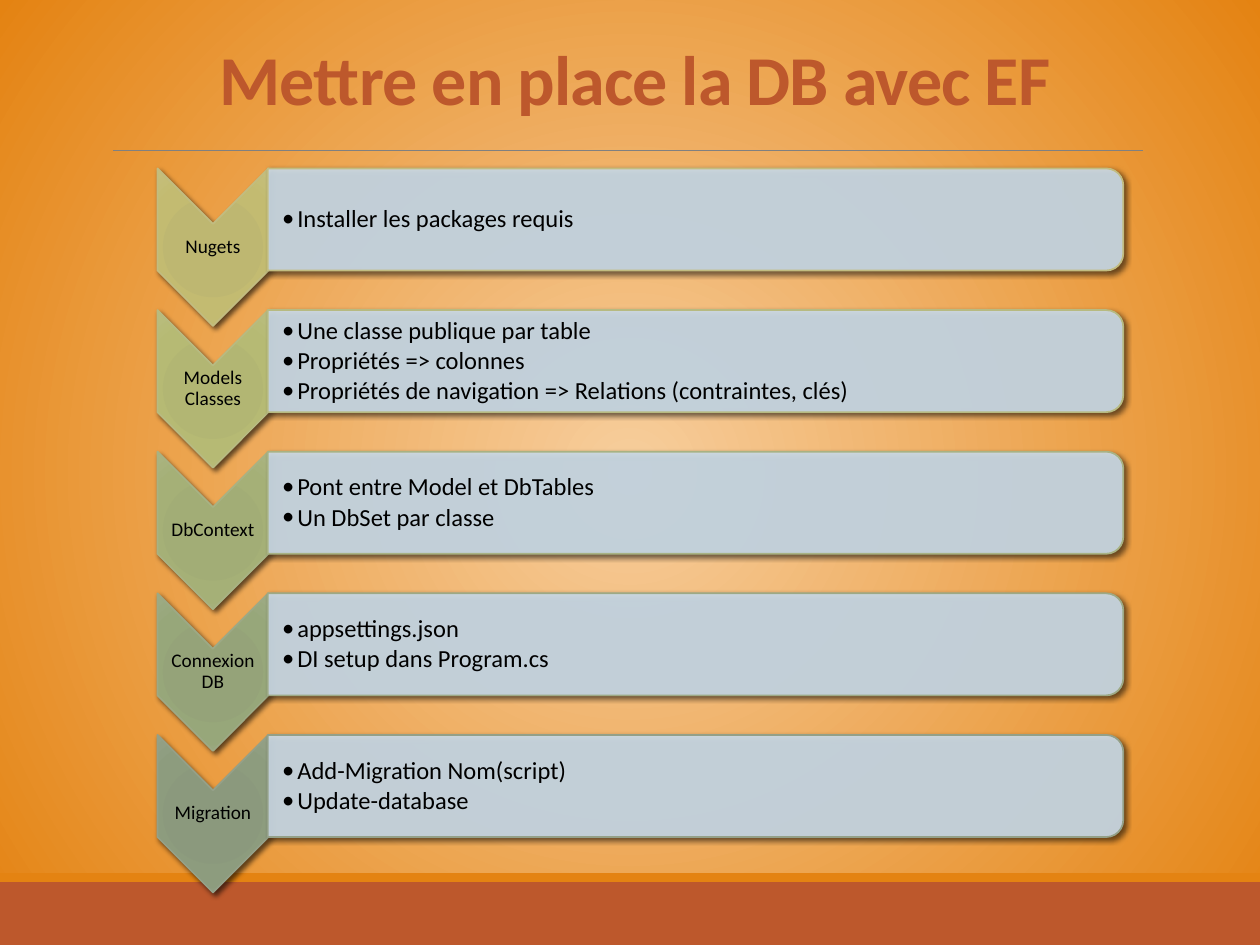
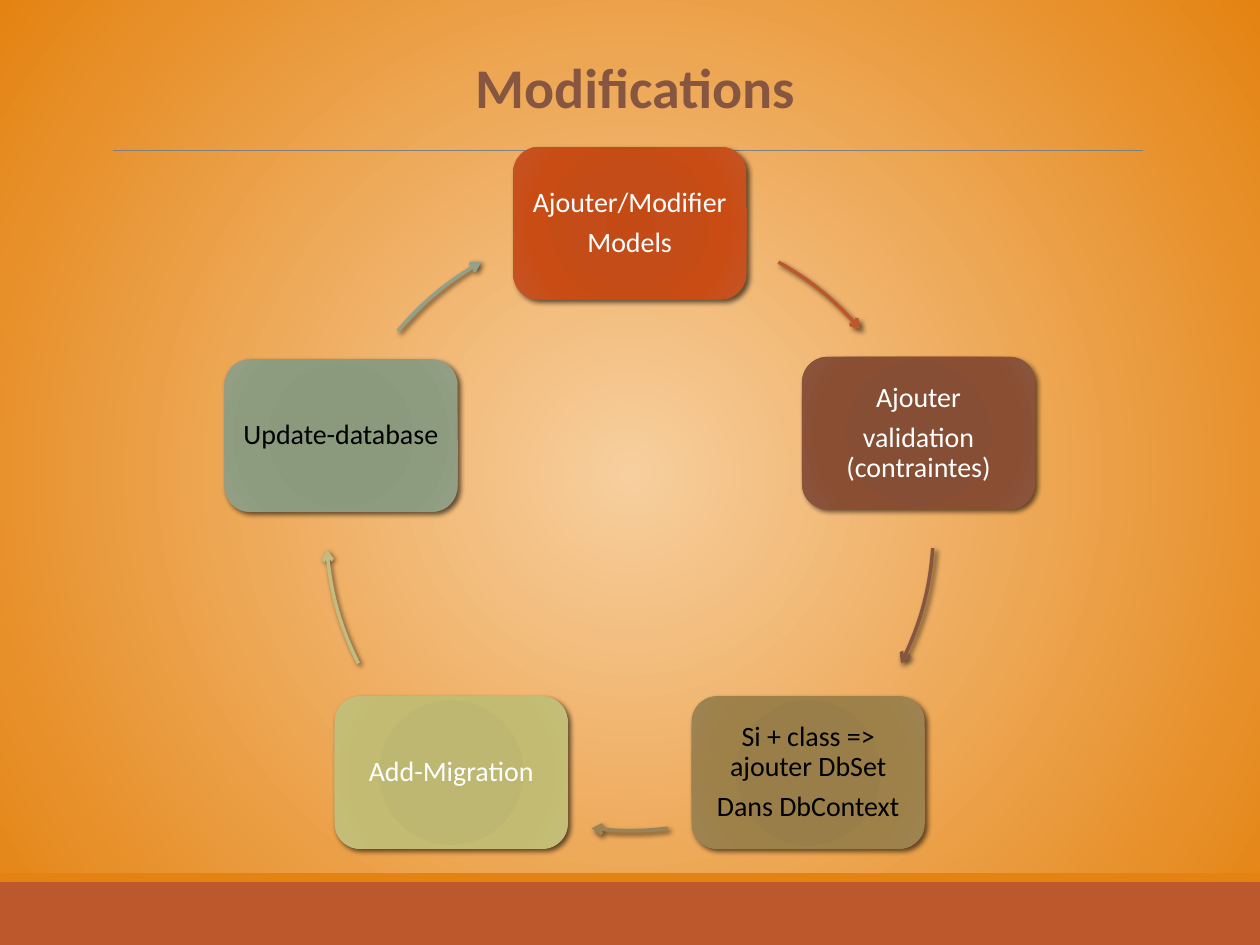
"""Builds two slides on setting up and changing a database with EF."""
from dataclasses import dataclass
from math import cos, radians, sin
from typing import NamedTuple

from lxml import etree
from pptx import Presentation
from pptx.dml.color import RGBColor
from pptx.enum.shapes import MSO_CONNECTOR, MSO_SHAPE
from pptx.enum.text import MSO_ANCHOR, MSO_AUTO_SIZE, PP_ALIGN
from pptx.oxml.ns import qn
from pptx.slide import Slide
from pptx.util import Emu, Inches, Pt

RECTANGLE = MSO_SHAPE.RECTANGLE
ROUNDED = MSO_SHAPE.ROUNDED_RECTANGLE
ROUND_TOP = MSO_SHAPE.ROUND_2_SAME_RECTANGLE
CHEVRON = MSO_SHAPE.CHEVRON
STRAIGHT = MSO_CONNECTOR.STRAIGHT
MIDDLE, BOTTOM = MSO_ANCHOR.MIDDLE, MSO_ANCHOR.BOTTOM
LEFT, CENTER = PP_ALIGN.LEFT, PP_ALIGN.CENTER
NO_AUTOFIT = MSO_AUTO_SIZE.NONE
TITLE_ONLY = 5
COLUMNS, ROWS = 100, 75
CELL = Inches(0.1)


@dataclass(frozen=True)
class Theme:
    """Colours, font and type sizes of the deck."""

    font: str = "Calibri"
    rust: str = "BD582C"
    brown: str = "865640"
    orange: str = "E48312"
    glow: str = "F7CE9D"
    rule: str = "808080"
    bar: str = "CCDDEA"
    black: str = "000000"
    white: str = "FFFFFF"
    label_size: int = 11
    bullet_size: int = 14
    node_size: int = 16


class Tone(NamedTuple):
    """Gradient colours of a shape and the colour of its line."""

    shades: tuple[str, str, str, str]
    edge: str


class Frame(NamedTuple):
    """Left, top, width and height in grid cells."""

    left: float
    top: float
    width: float
    height: float

    def lengths(self) -> list[Emu]:
        """Return the four lengths in EMU."""
        return [cells(value) for value in self]

    def turned(self) -> "Frame":
        """Return the frame that covers this one after a quarter turn."""
        shift = (self.width - self.height) / 2
        return Frame(self.left + shift, self.top - shift, self.height, self.width)


class Step(NamedTuple):
    """One row of the setup list."""

    label: str
    points: tuple[str, ...]
    tone: Tone


class Stage(NamedTuple):
    """One box of the cycle, the angles of its arrow and its drop in cells."""

    lines: tuple[str, ...]
    tone: Tone
    color: str
    arc: tuple[float, float]
    drop: float = 0


THEME = Theme()
STOPS = (0, 34, 70, 100)
SAND = Tone(("BEB76E", "BEB771", "C3BB71", "C5BF7D"), "C2BC80")
LIME = Tone(("B1B571", "B2B673", "B6BA74", "B9BD7F"), "B7BA81")
LEAF = Tone(("A1AC74", "A2AD76", "A5B077", "AAB481"), "A8B283")
MOSS = Tone(("93A377", "95A379", "97A77A", "9DAB84"), "9DA985")
SAGE = Tone(("8A987B", "8B997D", "8D9C7E", "94A187"), "94A088")
RUST = Tone(("C44A15", "C34C18", "C94C15", "C45525"), THEME.rust)
BROWN = Tone(("874C32", "864E34", "8A4E33", "8A553D"), THEME.brown)
OCHRE = Tone(("9A7D48", "9A7E4A", "9E8049", "9E8454"), "9B8357")

STEPS = (
    Step("Nugets", ("Installer les packages requis",), SAND),
    Step("Models Classes", (
        "Une classe publique par table",
        "Propriétés => colonnes",
        "Propriétés de navigation => Relations (contraintes, clés)",
    ), LIME),
    Step("DbContext", ("Pont entre Model et DbTables", "Un DbSet par classe"), LEAF),
    Step("Connexion DB", ("appsettings.json", "DI setup dans Program.cs"), MOSS),
    Step("Migration", ("Add-Migration Nom(script)", "Update-database"), SAGE),
)
STAGES = (
    Stage(("Ajouter/Modifier", "Models"), RUST, THEME.white, (29.3, 49.4)),
    Stage(("Ajouter", "validation (contraintes)"), BROWN, THEME.white, (94, 116.7)),
    Stage(("Si + class => ajouter DbSet", "Dans DbContext"), OCHRE, THEME.black,
          (172.8, 187.2)),
    Stage(("Add-Migration",), SAND, THEME.white, (243.3, 265.7)),
    Stage(("Update-database",), SAGE, THEME.black, (310.2, 330.7), 0.2),
)

TITLE_FRAME = Frame(0.8, 2.5, 99.2, 7.5)
BANDS = ((Frame(0, 70, COLUMNS, 5), THEME.rust),
         (Frame(0, 69.3, COLUMNS, 0.7), THEME.orange))
RULE_ROW = 11.94
FIRST_ROW, ROW_PITCH = 13.37, 11.24
CYCLE_X, CYCLE_Y, CYCLE_RADIUS = 49.98, 41.82, 24.1
NODE_WIDTH, NODE_HEIGHT = 18.5, 12.1


def cells(count: float) -> Emu:
    """Convert grid cells to EMU."""
    return Emu(round(count * CELL))


def rgb(color: str) -> RGBColor:
    """Convert a hexadecimal colour."""
    return RGBColor.from_string(color)


def add_color(parent, color: str, alpha: int = 100) -> None:
    """Append a colour element with an opacity in percent."""
    node = etree.SubElement(parent, qn("a:srgbClr"), val=color)
    if alpha < 100:
        etree.SubElement(node, qn("a:alpha"), val=str(alpha * 1000))


def radiate(properties, stops: dict[int, str], focus: int) -> None:
    """Replace the solid fill of a properties element by a circular gradient."""
    gradient = etree.Element(qn("a:gradFill"), rotWithShape="1")
    stop_list = etree.SubElement(gradient, qn("a:gsLst"))
    for position, color in stops.items():
        stop = etree.SubElement(stop_list, qn("a:gs"), pos=str(position * 1000))
        add_color(stop, color)
    circle = etree.SubElement(gradient, qn("a:path"), {"path": "circle"})
    etree.SubElement(circle, qn("a:fillToRect"),
                     {side: str(focus * 1000) for side in "ltrb"})
    properties.replace(properties.find(qn("a:solidFill")), gradient)


def cast_shadow(shape) -> None:
    """Give a shape a soft shadow to its lower right."""
    shape.shadow.inherit = False
    effects = shape.element.spPr.find(qn("a:effectLst"))
    shadow = etree.SubElement(
        effects, qn("a:outerShdw"), blurRad=str(Pt(3)), dist=str(Pt(2)),
        dir=str(45 * 60000), algn="ctr", rotWithShape="0")
    add_color(shadow, THEME.black, 60)


def write(frame, lines: tuple[str, ...], *, size: float, color: str,
          align=CENTER, anchor=MIDDLE, bold: bool = False, leading: float = 0.9,
          after: float = 0.35, insets: tuple[float, float] | None = None,
          bullet: bool = False, tracking: int = 0) -> None:
    """Write lines as paragraphs; insets are the left one and the other three."""
    frame.word_wrap = True
    frame.auto_size = NO_AUTOFIT
    frame.vertical_anchor = anchor
    if insets:
        frame.margin_left = cells(insets[0])
        frame.margin_top = frame.margin_right = frame.margin_bottom = cells(insets[1])
    for index, line in enumerate(lines):
        para = frame.add_paragraph() if index else frame.paragraphs[0]
        if bullet:
            properties = para._p.get_or_add_pPr()
            properties.set("marL", str(cells(1.2)))
            properties.set("indent", str(-cells(1.2)))
            etree.SubElement(properties, qn("a:buFont"), typeface=THEME.font)
            etree.SubElement(properties, qn("a:buChar"), char="•")
        para.alignment = align
        para.line_spacing = leading
        para.space_before = Pt(0)
        para.space_after = Pt(size * after)
        span = para.add_run()
        span.text = line
        span.font.name = THEME.font
        span.font.size = Pt(size)
        span.font.bold = bold
        span.font.color.rgb = rgb(color)
        if tracking:
            span.font._element.set("spc", str(tracking))


def add_block(page: Slide, kind, frame: Frame, color: str,
              edge: str | None = None, turn: int = 0):
    """Add a filled preset shape, with a line when an edge colour is given."""
    block = page.shapes.add_shape(kind, *frame.lengths())
    block.rotation = turn
    block.shadow.inherit = False
    block.fill.solid()
    block.fill.fore_color.rgb = rgb(color)
    if edge:
        block.line.color.rgb = rgb(edge)
        block.line.width = Pt(1)
    else:
        block.line.fill.background()
    return block


def add_toned(page: Slide, kind, frame: Frame, tone: Tone,
              edge: str | None = None, turn: int = 0):
    """Add a shape with a gradient and a shadow."""
    block = add_block(page, kind, frame, tone.shades[0], edge, turn)
    radiate(block.element.spPr, dict(zip(STOPS, tone.shades)), 100)
    cast_shadow(block)
    return block


def add_page(deck, title: str, **title_format) -> Slide:
    """Add a page with the bands, the rule and a title."""
    page = deck.slides.add_slide(deck.slide_layouts[TITLE_ONLY])
    for frame, color in BANDS:
        add_block(page, RECTANGLE, frame, color)
    rule = page.shapes.add_connector(
        STRAIGHT, cells(9), cells(RULE_ROW), cells(90.7), cells(RULE_ROW))
    rule.line.color.rgb = rgb(THEME.rule)
    rule.line.width = Pt(0.5)
    etree.SubElement(rule.element.spPr, qn("a:effectLst"))
    heading = page.shapes.title
    heading.left, heading.top, heading.width, heading.height = TITLE_FRAME.lengths()
    write(heading.text_frame, (title,), bold=True, anchor=BOTTOM, leading=0.85,
          after=0, **title_format)
    return page


def add_step(page: Slide, step: Step, top: float) -> None:
    """Draw a row: a chevron with its label and a bar with its points."""
    chevron = Frame(12.5, top, 8.8, 12.5)
    add_toned(page, CHEVRON, chevron.turned(), step.tone, step.tone.edge, 90)
    label = page.shapes.add_textbox(*Frame(12.5, top + 4.35, 8.8, 3.8).lengths())
    write(label.text_frame, (step.label,), size=THEME.label_size,
          color=THEME.black, insets=(0.1, 0.1))
    bar = add_block(page, ROUND_TOP, Frame(21.25, top, 67.9, 8.1).turned(),
                    THEME.bar, step.tone.edge, 90)
    tint = bar.element.spPr.find(qn("a:solidFill")).find(qn("a:srgbClr"))
    etree.SubElement(tint, qn("a:alpha"), val="90000")
    cast_shadow(bar)
    points = page.shapes.add_textbox(*Frame(21.3, top + 0.43, 67.5, 7.3).lengths())
    write(points.text_frame, step.points, size=THEME.bullet_size,
          color=THEME.black, align=LEFT, after=0.15, insets=(1.1, 0.1), bullet=True)


def on_cycle(angle: float) -> tuple[float, float]:
    """Return the cycle's point at an angle in degrees, clockwise from the top."""
    turn = radians(angle)
    return CYCLE_X + CYCLE_RADIUS * sin(turn), CYCLE_Y - CYCLE_RADIUS * cos(turn)


def add_arc(page: Slide, start: float, end: float, color: str) -> None:
    """Draw an arrow along the cycle between two angles, framed by the full circle."""
    left, top = CYCLE_X - CYCLE_RADIUS, CYCLE_Y - CYCLE_RADIUS
    side = 2 * CYCLE_RADIUS
    builder = page.shapes.build_freeform(cells(left), cells(top))
    builder.add_line_segments([(cells(left + side), cells(top + side))], close=False)
    arc = builder.convert_to_shape()
    outline = arc.element.spPr.find(".//" + qn("a:path"))
    for segment in list(outline):
        outline.remove(segment)
    x, y = on_cycle(start)
    move = etree.SubElement(outline, qn("a:moveTo"))
    etree.SubElement(move, qn("a:pt"), x=str(cells(x - left)), y=str(cells(y - top)))
    radius = str(cells(CYCLE_RADIUS))
    etree.SubElement(outline, qn("a:arcTo"), wR=radius, hR=radius,
                     stAng=str(round((start - 90) % 360 * 60000)),
                     swAng=str(round((end - start) * 60000)))
    arc.fill.background()
    arc.line.color.rgb = rgb(color)
    arc.line.width = Pt(2)
    etree.SubElement(arc.element.spPr.find(qn("a:ln")), qn("a:tailEnd"), type="arrow")
    cast_shadow(arc)


def add_stage(page: Slide, stage: Stage, angle: float) -> None:
    """Draw a box centred on the cycle and the arrow that leaves it."""
    x, y = on_cycle(angle)
    frame = Frame(x - NODE_WIDTH / 2, y - NODE_HEIGHT / 2 + stage.drop,
                  NODE_WIDTH, NODE_HEIGHT)
    box = add_toned(page, ROUNDED, frame, stage.tone)
    write(box.text_frame, stage.lines, size=THEME.node_size, color=stage.color,
          insets=(0.7, 0.7))
    add_arc(page, *stage.arc, stage.tone.edge)


def main() -> None:
    """Build the deck and save it."""
    deck = Presentation()
    deck.slide_width, deck.slide_height = cells(COLUMNS), cells(ROWS)
    master = deck.slide_master
    master.background.fill.solid()
    radiate(master.element.find(".//" + qn("p:bgPr")),
            {0: THEME.glow, 100: THEME.orange}, 50)
    setup = add_page(deck, "Mettre en place la DB avec EF", size=40,
                     color=THEME.rust, tracking=-50)
    for index, step in enumerate(STEPS):
        add_step(setup, step, FIRST_ROW + index * ROW_PITCH)
    changes = add_page(deck, "Modifications", size=32, color=THEME.brown)
    for index, stage in enumerate(STAGES):
        add_stage(changes, stage, index * 360 / len(STAGES))
    deck.save("out.pptx")


if __name__ == "__main__":
    main()
